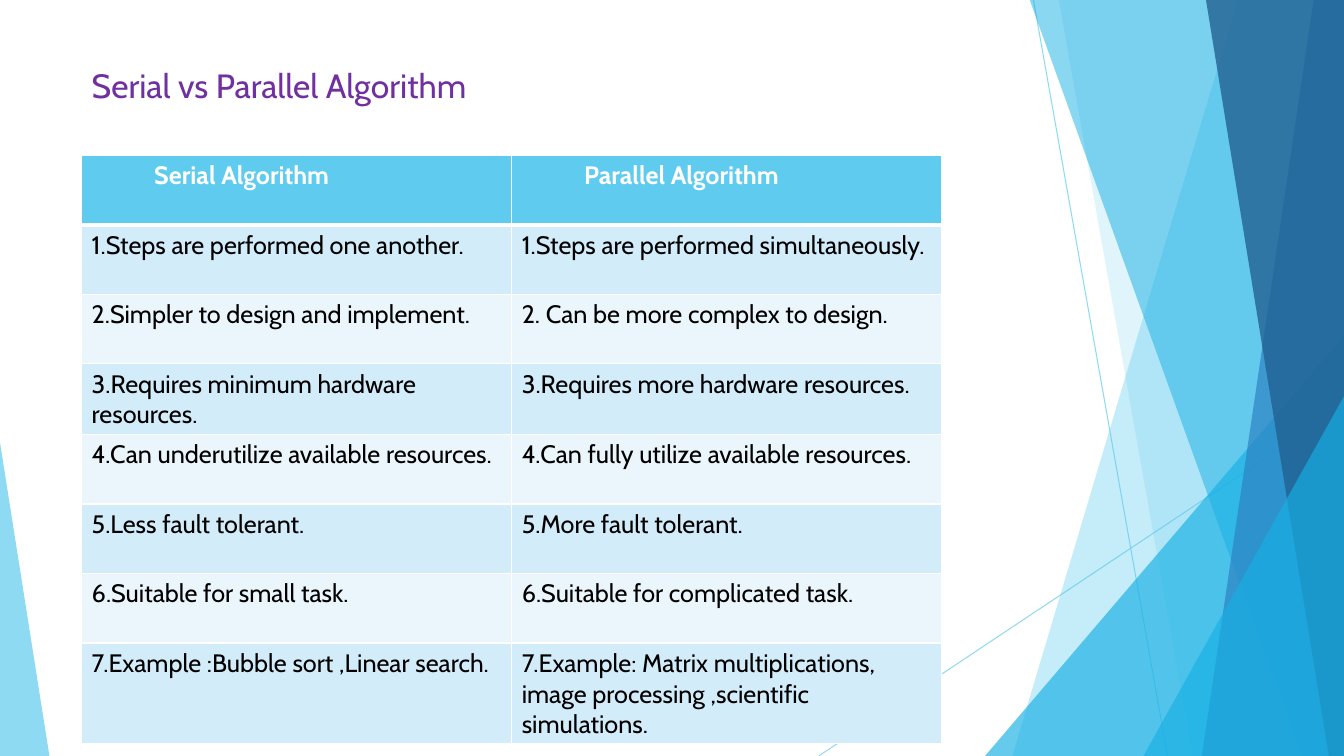
from dataclasses import dataclass

from pptx import Presentation
from pptx.dml.color import RGBColor
from pptx.enum.shapes import MSO_CONNECTOR, MSO_SHAPE
from pptx.enum.text import MSO_ANCHOR, MSO_AUTO_SIZE, PP_ALIGN
from pptx.oxml.ns import qn
from pptx.slide import Slide
from pptx.table import _Cell
from pptx.text.text import TextFrame
from pptx.util import Inches, Pt
from lxml.etree import SubElement


@dataclass(frozen=True)
class Theme:
    font: str = "Cabin"
    title_size: int = 24
    table_size: int = 18
    title: str = "7030A0"
    text: str = "000000"
    white: str = "FFFFFF"
    sky: str = "5FCBEF"
    cyan: str = "17B0E4"
    blue: str = "2E83C3"
    navy: str = "226292"
    band_dark: str = "D2ECF9"
    band_light: str = "EAF6FC"


THEME = Theme()
WIDTH, HEIGHT = 13.33, 7.5


@dataclass(frozen=True)
class Ray:
    start: tuple[float, float]
    end: tuple[float, float]


@dataclass(frozen=True)
class Shard:
    """Panel running from the top edge to the bottom edge at the right."""
    top_x: float
    bottom_x: float
    color: str
    alpha: int


@dataclass(frozen=True)
class Corner:
    """Right triangle standing on the bottom edge."""
    left: float
    top: float
    width: float
    apex: int
    color: str
    alpha: int


RAYS = [Ray((10.25, 0), (11.58, HEIGHT)), Ray((WIDTH, 4.03), (8.12, HEIGHT))]

PANELS = [
    Shard(12.28, 10.04, THEME.sky, 36),
    Shard(10.5, 11.83, THEME.sky, 20),
    Corner(9.77, 3.33, 3.56, 1, THEME.cyan, 66),
    Shard(10.21, 12.91, THEME.cyan, 50),
    Shard(13.03, 11.92, THEME.blue, 70),
    Shard(11.96, 13.18, THEME.navy, 80),
    Corner(11.34, 3.93, 1.99, 1, THEME.cyan, 66),
    Corner(0, 4.39, 0.49, 0, THEME.sky, 70),
]

HEADERS = ("Serial Algorithm", "Parallel Algorithm")
ROWS = [
    ("1.Steps are performed one another.", "1.Steps are performed simultaneously."),
    ("2.Simpler to design and implement.", "2. Can be more complex to design."),
    ("3.Requires minimum hardware resources.", "3.Requires more hardware resources."),
    ("4.Can underutilize available resources.", "4.Can fully utilize available resources."),
    ("5.Less fault tolerant.", "5.More fault tolerant."),
    ("6.Suitable for small task.", "6.Suitable for complicated task."),
    ("7.Example :Bubble sort ,Linear search.",
     "7.Example: Matrix multiplications, image processing ,scientific simulations."),
]


def set_alpha(shape, percent: int) -> None:
    for color in shape.element.iter(qn("a:srgbClr")):
        SubElement(color, qn("a:alpha")).set("val", str(percent * 1000))


def add_text(tf: TextFrame, text: str, *, size: int, color: str, bold: bool = False) -> None:
    p = tf.paragraphs[0]
    p.alignment = PP_ALIGN.LEFT
    r = p.add_run()
    r.text = text
    r.font.name = THEME.font
    r.font.size = Pt(size)
    r.font.bold = bold
    r.font.color.rgb = RGBColor.from_string(color)


def add_ray(s: Slide, ray: Ray) -> None:
    points = [Inches(v) for v in (*ray.start, *ray.end)]
    line = s.shapes.add_connector(MSO_CONNECTOR.STRAIGHT, *points)
    line.line.width = Pt(0.75)
    line.line.color.rgb = RGBColor.from_string(THEME.sky)
    set_alpha(line, 70)
    SubElement(line.element.spPr, qn("a:effectLst"))


def add_panel(s: Slide, panel: Shard | Corner) -> None:
    if isinstance(panel, Shard):
        top = -0.01
        corners = [(WIDTH, top), (WIDTH, HEIGHT), (panel.bottom_x, HEIGHT)]
        outline = s.shapes.build_freeform(Inches(panel.top_x), Inches(top))
        outline.add_line_segments([(Inches(x), Inches(y)) for x, y in corners], close=True)
        sp = outline.convert_to_shape()
    else:
        sp = s.shapes.add_shape(
            MSO_SHAPE.ISOSCELES_TRIANGLE, Inches(panel.left), Inches(panel.top),
            Inches(panel.width), Inches(HEIGHT - panel.top))
        sp.adjustments[0] = panel.apex
    sp.shadow.inherit = False
    sp.line.fill.background()
    sp.fill.solid()
    sp.fill.fore_color.rgb = RGBColor.from_string(panel.color)
    set_alpha(sp, panel.alpha)


def style_cell(cell: _Cell, fill: str, top: int, bottom: int) -> None:
    tcPr = cell._tc.get_or_add_tcPr()
    for side, width in (("L", 1), ("R", 1), ("T", top), ("B", bottom)):
        ln = SubElement(tcPr, qn(f"a:ln{side}"), w=str(Pt(width)))
        SubElement(SubElement(ln, qn("a:solidFill")), qn("a:srgbClr"), val=THEME.white)
    cell.fill.solid()
    cell.fill.fore_color.rgb = RGBColor.from_string(fill)


def add_comparison(s: Slide) -> None:
    row_height = 0.69
    count = len(ROWS) + 1
    table = s.shapes.add_table(count, 2, Inches(0.81), Inches(1.54), Inches(8.53),
                               Inches(row_height * count)).table
    for i, texts in enumerate([HEADERS, *ROWS]):
        table.rows[i].height = Inches(row_height)
        header = i == 0
        band = THEME.band_dark if i % 2 else THEME.band_light
        for j, text in enumerate(texts):
            cell = table.cell(i, j)
            style_cell(cell, THEME.sky if header else band,
                       top=3 if i == 1 else 1, bottom=3 if header else 1)
            if header:
                cell.margin_left = Inches(0.72)
            add_text(cell.text_frame, text, size=THEME.table_size, bold=header,
                     color=THEME.white if header else THEME.text)


def add_title(s: Slide, text: str) -> None:
    title = s.shapes.title
    title.left, title.top = Inches(0.81), Inches(0.59)
    title.width, title.height = Inches(8.09), Inches(0.5)
    tf = title.text_frame
    tf.word_wrap = True
    tf.auto_size = MSO_AUTO_SIZE.SHAPE_TO_FIT_TEXT
    tf.vertical_anchor = MSO_ANCHOR.TOP
    add_text(tf, text, size=THEME.title_size, color=THEME.title)


def main() -> None:
    prs = Presentation()
    prs.slide_width, prs.slide_height = Inches(WIDTH), Inches(HEIGHT)
    s = prs.slides.add_slide(prs.slide_layouts[5])

    # Background facets
    for ray in RAYS:
        add_ray(s, ray)
    for panel in PANELS:
        add_panel(s, panel)

    # Content
    add_comparison(s)
    add_title(s, "Serial vs Parallel Algorithm")
    prs.save("out.pptx")


if __name__ == "__main__":
    main()
